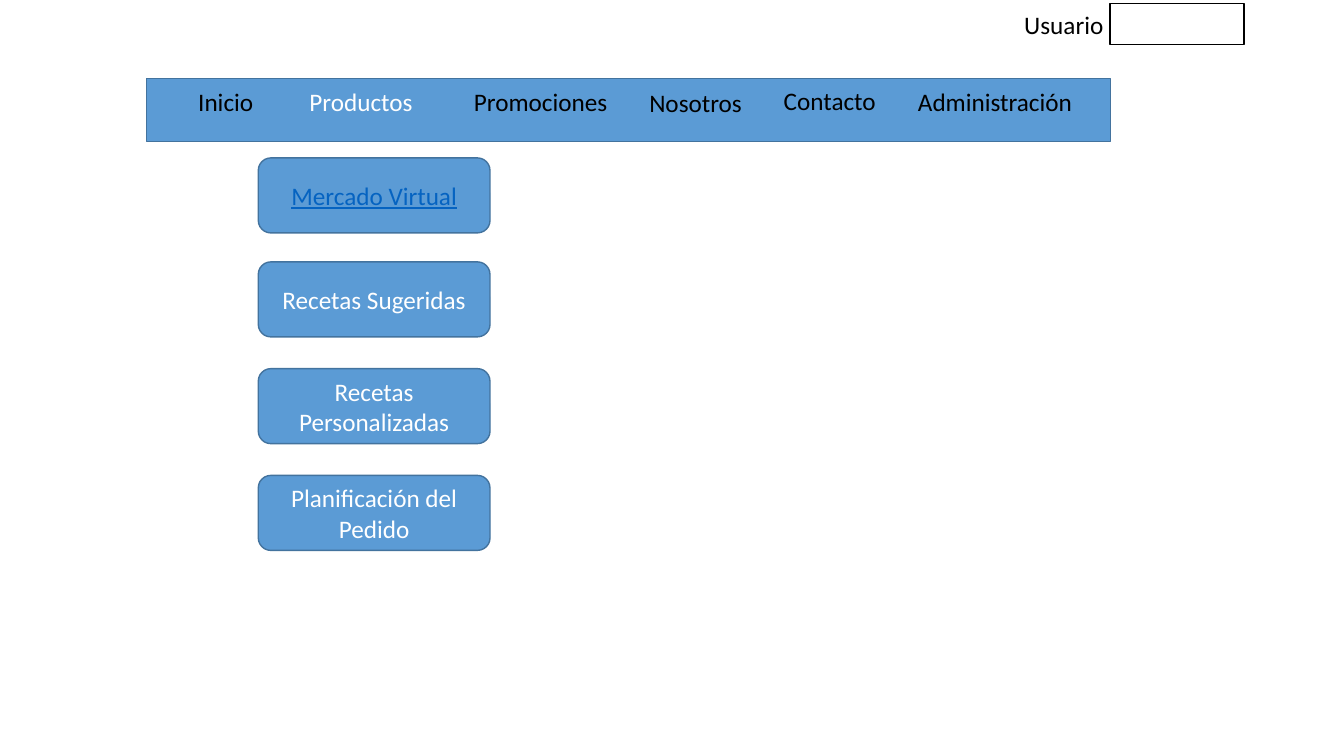
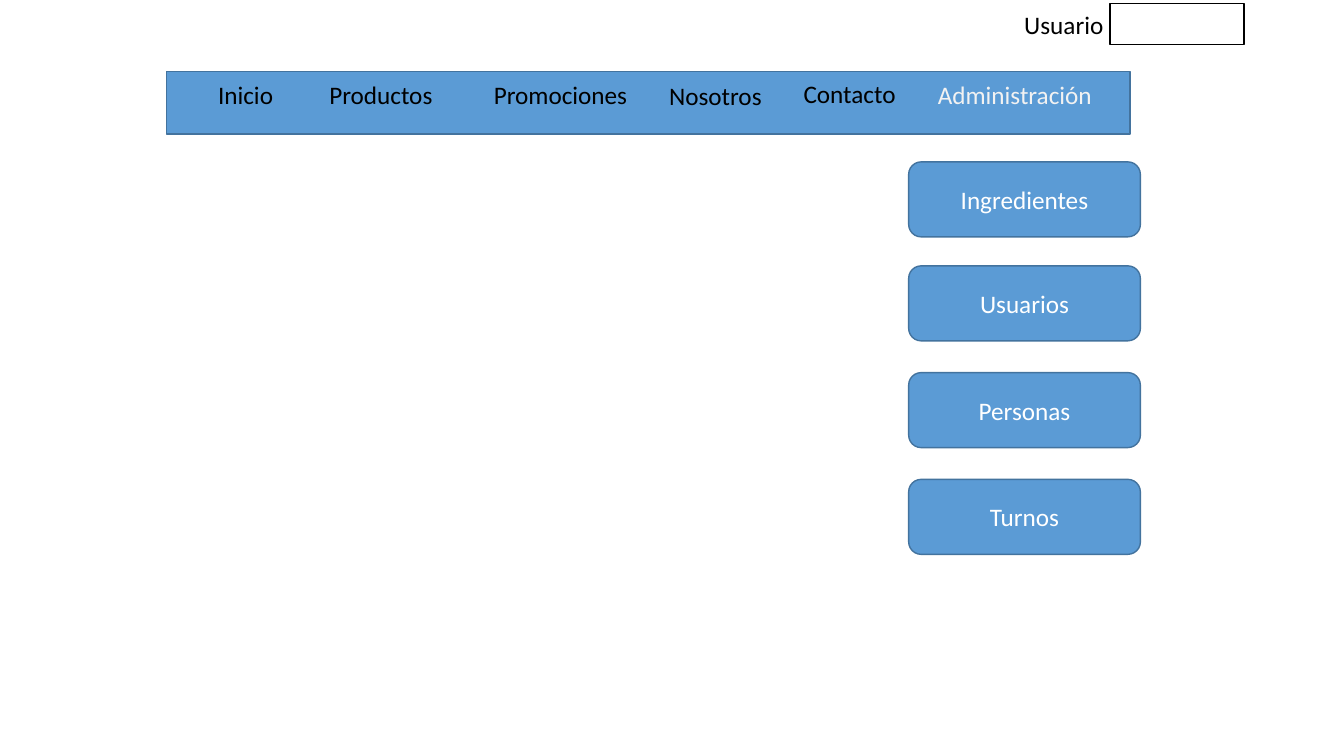
from pptx import Presentation
from pptx import util as u
from pptx.dml.color import RGBColor
from pptx.enum import shapes, text

Cm = u.Cm
BLUE, EDGE, LINK = "5B9BD5", "43739E", "0563C1"
BLACK, WHITE, PALE = "000000", "FFFFFF", "F2F2F2"
RECT = shapes.MSO_SHAPE.RECTANGLE
ROUND = shapes.MSO_SHAPE.ROUNDED_RECTANGLE

# Lengths in cm. Menu entries: label, left and top within the bar, width
MENU = [
    ("Inicio", 0.24, 0.08, 3.5),
    ("Productos", 3.71, 0.08, 3.38),
    ("Promociones", 7.7, 0.08, 4.45),
    ("Nosotros", 12.14, 0.1, 3.38),
    ("Contacto", 15.52, 0.04, 3.38),
    ("Administración", 18.9, 0.07, 4.95),
]
BAR = (24.28, 1.58)
BUTTON = (5.84, 1.89)
STEPS = (0, 2.62, 5.31, 8)
FIELD = (3.38, 1.03)
LABEL = 1.03

PAGES = [
    {
        "bar": (3.7, 1.98), "active": "Productos", "tint": WHITE,
        "list": (6.51, 3.98), "link": "Mercado Virtual",
        "items": ["Mercado Virtual", "Recetas Sugeridas",
                  "Recetas Personalizadas", "Planificación del Pedido"],
    },
    {
        "bar": (4.2, 1.8), "active": "Administración", "tint": PALE,
        "list": (22.9, 4.08), "link": None,
        "items": ["Ingredientes", "Usuarios", "Personas", "Turnos"],
    },
]


def rgb(code):
    return RGBColor.from_string(code)


def write(shape, words, **look):
    frame = shape.text_frame
    frame.word_wrap = True
    para = frame.paragraphs[0]
    para.alignment = text.PP_ALIGN.CENTER
    run = para.add_run()
    run.text = words
    font = run.font
    font.color.rgb = rgb(look.pop("tint"))
    for key, value in {"name": "Calibri", "size": u.Pt(18), **look}.items():
        setattr(font, key, value)


def box(slide, kind, spot, size, fill=BLUE, line=EDGE):
    shape = slide.shapes.add_shape(kind, *map(Cm, spot + size))
    shape.shadow.inherit = False
    shape.fill.solid()
    shape.fill.fore_color.rgb = rgb(fill)
    shape.line.color.rgb = rgb(line)
    shape.line.width = u.Pt(1)
    return shape


def label(slide, words, left, top, width, tint=BLACK):
    shape = slide.shapes.add_textbox(*map(Cm, (left, top, width, LABEL)))
    write(shape, words, tint=tint)
    shape.text_frame.auto_size = text.MSO_AUTO_SIZE.SHAPE_TO_FIT_TEXT


def build(deck, page):
    slide = deck.slides.add_slide(deck.slide_layouts[6])
    label(slide, "Usuario", 25.12, 0.1, 3.38)
    box(slide, RECT, (27.97, 0.09), FIELD, WHITE, BLACK)

    left, top = page["bar"]
    box(slide, RECT, (left, top), BAR)
    for words, dx, dy, width in MENU:
        tint = page["tint"] if words == page["active"] else BLACK
        label(slide, words, left + dx, top + dy, width, tint)

    left, top = page["list"]
    for words, step in zip(page["items"], STEPS):
        button = box(slide, ROUND, (left, top + step), BUTTON)
        button.text_frame.vertical_anchor = text.MSO_ANCHOR.MIDDLE
        link = words == page["link"]
        write(button, words, tint=LINK if link else WHITE, underline=link)


def main():
    deck = Presentation()
    deck.slide_width, deck.slide_height = Cm(33.87), Cm(19.05)
    for page in PAGES:
        build(deck, page)
    deck.save("out.pptx")


if __name__ == "__main__":
    main()
